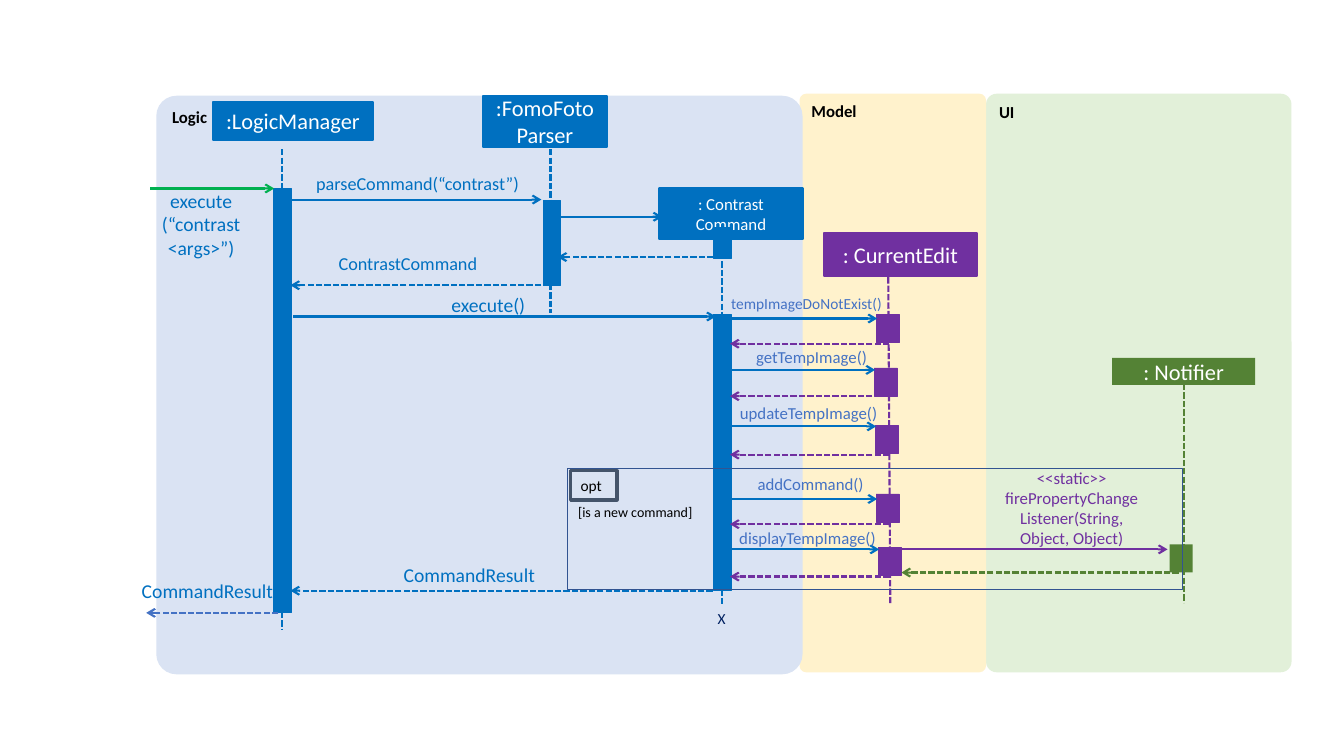
from lxml import etree
from pptx import Presentation
from pptx.dml.color import RGBColor
from pptx.enum.dml import MSO_LINE
from pptx.enum.shapes import MSO_CONNECTOR, MSO_SHAPE
from pptx.enum.text import MSO_ANCHOR, PP_ALIGN
from pptx.oxml.ns import qn
from pptx.util import Inches, Pt

RECT, ROUND = MSO_SHAPE.RECTANGLE, MSO_SHAPE.ROUNDED_RECTANGLE
STRAIGHT, DASH = MSO_CONNECTOR.STRAIGHT, MSO_LINE.SQUARE_DOT
LEFT, MID, RIGHT = PP_ALIGN.LEFT, PP_ALIGN.CENTER, PP_ALIGN.RIGHT
TOP, CENTER = MSO_ANCHOR.TOP, MSO_ANCHOR.MIDDLE

BLACK = RGBColor(0x00, 0x00, 0x00)
WHITE = RGBColor(0xFF, 0xFF, 0xFF)
BLUE = RGBColor(0x00, 0x70, 0xC0)
SOFT = RGBColor(0x44, 0x72, 0xC4)
NAVY = RGBColor(0x00, 0x20, 0x60)
SLATE = RGBColor(0x44, 0x54, 0x6A)
STEEL = RGBColor(0x32, 0x54, 0x91)
PURPLE = RGBColor(0x70, 0x30, 0xA0)
GREEN = RGBColor(0x54, 0x82, 0x35)
LIME = RGBColor(0x00, 0xB0, 0x50)
PALE_BLUE = RGBColor(0xDA, 0xE3, 0xF3)
PALE_GOLD = RGBColor(0xFF, 0xF2, 0xCC)
PALE_GREEN = RGBColor(0xE2, 0xF0, 0xD9)

CELL = Inches(0.1)
LOGIC = (15.5, 9.5, 64.1, 57.4)
MODEL = (79.3, 9.3, 18.5, 57.4)
UI = (97.8, 9.3, 30.3, 57.4)
OPT = (56.3, 46.5, 61, 12)
CALLS = [
    ("tempImageDoNotExist()", 11, 0.7, 19.9, 22.3, 24.8, 7.6, 21.9),
    ("getTempImage()", 12, 1.2, 25.1, 27.4, 30, 7.4, 27.2),
    ("updateTempImage()", 12, 0.9, 30.7, 33, 35.8, 7.5, 32.9),
    ("addCommand()", 12, 1.1, 37.7, 40.2, 42.7, 7.6, 39.7),
    ("displayTempImage()", 12, 0.8, 43.1, 45.2, 47.9, 7.8, 45),
]


def grid(*cells):
    """Turn columns and rows into lengths."""
    return [round(cell * CELL) for cell in cells]


def within(box, x, y, *size):
    """Place a spot or an area relative to the box."""
    return grid(box[0] + x, box[1] + y, *size)


def write(frame, lines, size, color, align=MID, bold=False):
    """Write each line as a paragraph, with breaks where it has them."""
    frame.word_wrap = True
    for i, line in enumerate(lines):
        para = frame.add_paragraph() if i else frame.paragraphs[0]
        para.alignment = align
        for j, part in enumerate(line.split("\n")):
            if j:
                para.add_line_break()
            run = para.add_run()
            run.text = part
            font = run.font
            font.name, font.size, font.bold = "Calibri", Pt(size), bold
            font.color.rgb = color


def block(shapes, box, area, fill=None, edge=None, width=0.5, kind=RECT):
    """Draw a flat shape inside the box."""
    shape = shapes.add_shape(kind, *within(box, *area))
    shape.shadow.inherit = False
    if fill is None:
        shape.fill.background()
    else:
        shape.fill.solid()
        shape.fill.fore_color.rgb = fill
    if edge is None:
        shape.line.fill.background()
    else:
        shape.line.color.rgb = edge
        shape.line.width = Pt(width)
    return shape


def label(shapes, box, area, lines, size, color, align=MID, pad=0):
    """Add text inside the box."""
    frame = shapes.add_textbox(*within(box, *area)).text_frame
    frame.margin_left = frame.margin_right = grid(pad)[0]
    frame.margin_top = frame.margin_bottom = grid(pad / 2)[0]
    write(frame, lines, size, color, align)


def link(shapes, box, start, end, color, dash=False, arrow=True):
    """Draw a message arrow or a lifeline."""
    line = shapes.add_connector(STRAIGHT, *within(box, *start), *within(box, *end))
    line.line.color.rgb = color
    line.line.width = Pt(1.5)
    if dash:
        line.line.dash_style = DASH
    if arrow:
        etree.SubElement(line.get_or_add_ln(), qn("a:tailEnd"), type="arrow")
    etree.SubElement(line._element.spPr, qn("a:effectLst"))


def head(shapes, box, area, name, color, start, end, size=16, edge=True):
    """Draw an actor with its lifeline."""
    link(shapes, box, start, end, color, True, False)
    shape = block(shapes, box, area, color, color if edge else None, 1.5)
    shape.text_frame.vertical_anchor = CENTER
    write(shape.text_frame, [name], size, WHITE)


def panel(shapes, box, name, fill):
    """Draw the named backdrop of one layer."""
    shape = block(shapes, box, (0, 0, *box[2:]), fill, kind=ROUND)
    shape.adjustments[0] = 0.035
    shape.text_frame.vertical_anchor = TOP
    write(shape.text_frame, [name], 12, BLACK, LEFT, True)


def logic(shapes, box):
    """Draw the actors and messages of the logic layer."""
    for area, name, x, top, end, size in [
        ((5.6, 0.6, 15.9, 3.8), ":LogicManager", 12.5, 5.3, 52.9, 16),
        ((32.4, 0, 12.3, 5.1), ":FomoFotoParser", 39.1, 5.3, 21.6, 16),
        ((49.9, 9.2, 14.2, 5), ": Contrast\nCommand", 56.1, 13.1, 50.4, 12),
    ]:
        head(shapes, box, area, name, BLUE, (x, top), (x, end), size)
    for area in [(11.6, 9.2, 1.8, 42.1), (38.4, 10.4, 1.7, 8.4),
                 (55.3, 13.1, 1.7, 3), (55.3, 21.7, 1.7, 27.4)]:
        block(shapes, box, area, BLUE, BLUE)
    for x, end, y, color in [
        (-0.6, 11.7, 9.2, LIME), (13.5, 38.2, 10.3, BLUE),
        (40.1, 50.2, 12, BLUE), (56.1, 39.8, 16, BLUE),
        (39, 13.3, 18.8, BLUE), (13.6, 55.5, 21.9, BLUE),
        (55.2, 13.3, 49.1, BLUE), (12.1, -1, 51.3, SOFT),
    ]:
        link(shapes, box, (x, y), (end, y), color, end < x)
    for area, lines, size, align in [
        ((-2, 9.2, 12.9, 7.1), ["execute", "(“contrast <args>”)"], 14, MID),
        ((14, 7.6, 23.8, 2.2), ["parseCommand(“contrast”)"], 13, MID),
        ((16.3, 15.5, 17.3, 2.2), ["ContrastCommand"], 13, MID),
        ((27.2, 19.6, 9.4, 2.4), ["execute()"], 14, RIGHT),
        ((22.2, 46.3, 17.7, 2.4), ["CommandResult"], 14, MID),
        ((-4.1, 47.9, 15.7, 2.4), ["CommandResult"], 14, RIGHT),
    ]:
        label(shapes, box, area, lines, size, BLUE, align)
    label(shapes, box, (54.7, 50.4, 2.8, 2.9), ["X"], 11, NAVY, LEFT, 1)


def model(shapes, box):
    """Draw the current edit and the calls made on it."""
    head(shapes, box, (2.4, 13.8, 15.2, 4.3), ": CurrentEdit", PURPLE,
         (8.8, 18.2), (9, 50.6))
    for name, size, mid, top, call, back, x, y in CALLS:
        block(shapes, box, (x, y, 2.3, 2.8), PURPLE, PURPLE)
        link(shapes, box, (-7.2, call), (x + 0.1, call), BLUE)
        link(shapes, box, (8.9, back), (-6.9, back), PURPLE, True)
        label(shapes, box, (mid - 9, top, 18, 2), [name], size, SOFT)


def ui(shapes, box):
    """Draw the notifier and the call made on it."""
    head(shapes, box, (12.5, 26.2, 14.2, 2.7), ": Notifier", GREEN,
         (19.6, 28.8), (19.6, 50.5), edge=False)
    link(shapes, box, (-8.3, 45.2), (18, 45.2), PURPLE)
    link(shapes, box, (19.1, 47.5), (-8.4, 47.5), GREEN, True)
    block(shapes, box, (18.2, 44.7, 2.3, 2.8), GREEN)
    label(shapes, box, (1.7, 37.1, 13.6, 8.1),
          ["<<static>>", "firePropertyChangeListener(String, Object, Object)"], 12, PURPLE)


def option(shapes, box):
    """Draw the frame of the optional steps."""
    block(shapes, box, (0, 0, *box[2:]), edge=STEEL, width=1)
    tag = block(shapes, box, (0.3, 0.2, 4.6, 2.9), edge=SLATE, width=2.25)
    tag.text_frame.vertical_anchor = TOP
    write(tag.text_frame, ["opt"], 11, BLACK, LEFT)
    label(shapes, box, (-4.1, 3.5, 21.6, 1.7), ["[is a new command]"], 10, BLACK)


def main():
    """Build the sequence diagram."""
    deck = Presentation()
    deck.slide_width, deck.slide_height = Inches(13.33), Inches(7.5)
    shapes = deck.slides.add_slide(deck.slide_layouts[6]).shapes
    panel(shapes, UI, "UI", PALE_GREEN)
    panel(shapes, MODEL, "Model", PALE_GOLD)
    panel(shapes, LOGIC, "Logic", PALE_BLUE)
    logic(shapes, LOGIC)
    model(shapes, MODEL)
    ui(shapes, UI)
    option(shapes, OPT)
    deck.save("out.pptx")


if __name__ == "__main__":
    main()
